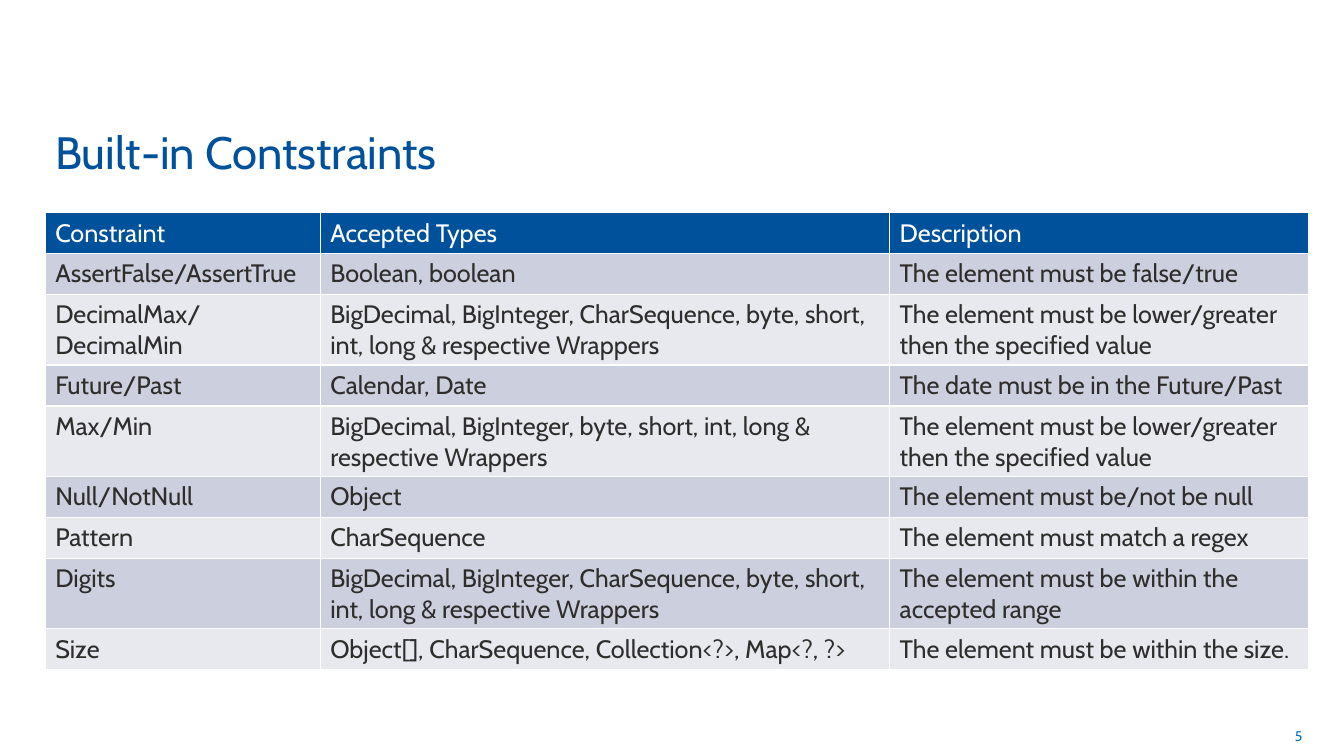
from pptx import Presentation
from pptx.dml.color import RGBColor
from pptx.enum.text import MSO_ANCHOR, PP_ALIGN
from pptx.util import Cm, Pt

COLORS = {
    "blue": "00519C",
    "page": "0070C0",
    "white": "FFFFFF",
    "text": "2E2D2C",
    "odd": "CCD0DE",
    "even": "E7E9EF",
}
COLUMN_WIDTHS = (6.93, 14.35, 10.57)
ROW_HEIGHT = 1.03
NUMBERS = "BigDecimal, BigInteger, CharSequence, byte, short, int, long & respective Wrappers"
BOUND = "The element must be lower/greater then the specified value"
ROWS = [
    ("Constraint", "Accepted Types", "Description"),
    ("AssertFalse/AssertTrue", "Boolean, boolean", "The element must be false/true"),
    ("DecimalMax/\nDecimalMin", NUMBERS, BOUND),
    ("Future/Past", "Calendar, Date", "The date must be in the Future/Past"),
    ("Max/Min", "BigDecimal, BigInteger, byte, short, int, long & respective Wrappers", BOUND),
    ("Null/NotNull", "Object", "The element must be/not be null"),
    ("Pattern", "CharSequence", "The element must match a regex"),
    ("Digits", NUMBERS, "The element must be within the accepted range"),
    ("Size", "Object[], CharSequence, Collection<?>, Map<?, ?>",
     "The element must be within the size."),
]


def rgb(name):
    return RGBColor.from_string(COLORS[name])


def write(tf, text, size=18, color="text", align=PP_ALIGN.LEFT):
    """Fill the first paragraph; a newline becomes a line break."""
    tf.word_wrap = True
    p = tf.paragraphs[0]
    p.alignment = align
    for i, line in enumerate(text.split("\n")):
        if i:
            p.add_line_break()
        r = p.add_run()
        r.text = line
        r.font.name = "Cabin"
        r.font.size = Pt(size)
        r.font.bold = False
        r.font.color.rgb = rgb(color)


def add_text(s, box, text, anchor, **text_format):
    tf = s.shapes.add_textbox(*map(Cm, box)).text_frame
    tf.vertical_anchor = anchor
    write(tf, text, **text_format)


def add_constraints_table(s, left, top):
    """The default table style supplies the white cell borders."""
    table = s.shapes.add_table(
        len(ROWS), len(COLUMN_WIDTHS), Cm(left), Cm(top),
        Cm(sum(COLUMN_WIDTHS)), Cm(ROW_HEIGHT * len(ROWS))).table
    for column, width in zip(table.columns, COLUMN_WIDTHS):
        column.width = Cm(width)
    for i, values in enumerate(ROWS):
        table.rows[i].height = Cm(ROW_HEIGHT)
        fill = "blue" if i == 0 else "odd" if i % 2 else "even"
        for j, value in enumerate(values):
            cell = table.cell(i, j)
            cell.fill.solid()
            cell.fill.fore_color.rgb = rgb(fill)
            write(cell.text_frame, value, color="white" if i == 0 else "text")


def main():
    prs = Presentation()
    prs.slide_width, prs.slide_height = Cm(33.87), Cm(19.05)
    s = prs.slides.add_slide(prs.slide_layouts[6])
    add_text(s, (25.17, 18.03, 7.9, 1.02), "5", MSO_ANCHOR.MIDDLE,
             size=10, color="page", align=PP_ALIGN.RIGHT)
    add_constraints_table(s, 1.14, 5.36)
    add_text(s, (1.14, 2.87, 25.35, 1.75), "Built-in Contstraints",
             MSO_ANCHOR.BOTTOM, size=32.4, color="blue")
    prs.save("out.pptx")


if __name__ == "__main__":
    main()
